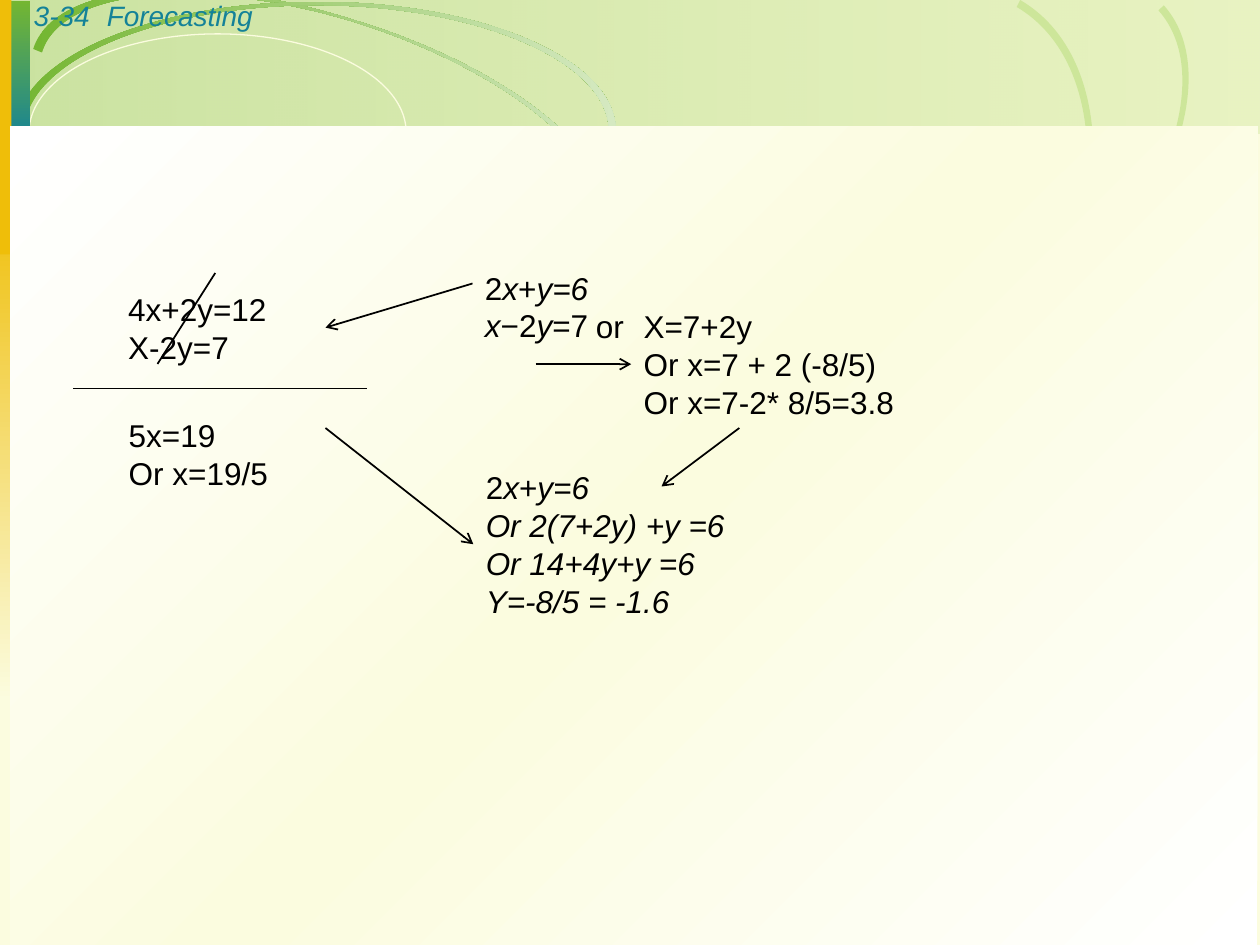
import pptx
import pptx.dml.color
import pptx.enum.shapes
import pptx.enum.text
import pptx.oxml
import pptx.oxml.ns
import pptx.util

Pt = pptx.util.Pt
RGB = pptx.dml.color.RGBColor.from_string
MSO = pptx.enum.shapes.MSO_SHAPE
qn = pptx.oxml.ns.qn
nsdecls = pptx.oxml.ns.nsdecls("a")
COLORS = {"cream": "FBFCDF", "green": "74B632", "lime": "BCDD7B", "pale": "D5E9C1",
          "leaf": "CDE69A", "teal": "148298", "gold": "EFBE09", "white": "FFFFFF",
          "black": "000000"}


def paint(sp, names, angle=0, alphas=None):
    """Fill a shape with one colour, or with evenly spaced gradient stops."""
    sp.shadow.inherit = False
    sp.line.fill.background()
    sp.fill.solid()
    sp.fill.fore_color.rgb = RGB(COLORS[names[0]])
    if len(names) == 1:
        return
    stops = ""
    for i, name in enumerate(names):
        alpha = f'<a:alpha val="{alphas[i] * 1000}"/>' if alphas else ""
        pos = 100000 * i // (len(names) - 1)
        stops += f'<a:gs pos="{pos}"><a:srgbClr val="{COLORS[name]}">{alpha}</a:srgbClr></a:gs>'
    grad = pptx.oxml.parse_xml(
        f'<a:gradFill {nsdecls} rotWithShape="1"><a:gsLst>{stops}</a:gsLst>'
        f'<a:lin ang="{angle * 60000}" scaled="0"/></a:gradFill>')
    solid = sp._element.spPr.find(qn("a:solidFill"))
    solid.getparent().replace(solid, grad)


def bend(sp):
    """Turn each run of three line segments of an arc's edges into one Bezier curve."""
    lines = list(sp._element.spPr.iter(qn("a:lnTo")))
    for start in (0, 3, 7, 10):
        first = lines[start]
        curve = pptx.oxml.parse_xml(f"<a:cubicBezTo {nsdecls}/>")
        first.addprevious(curve)
        for line in lines[start:start + 3]:
            curve.append(line[0])
            line.getparent().remove(line)


prs = pptx.Presentation()
prs.slide_width, prs.slide_height = Pt(720), Pt(540)
s = prs.slides.add_slide(prs.slide_layouts[6])
s.background.fill.solid()
s.background.fill.fore_color.rgb = RGB(COLORS["cream"])

# Header band with its swooshes
band = s.shapes.add_shape(MSO.RECTANGLE, Pt(0.7), 0, Pt(720), Pt(76.3))
paint(band, ["green", "lime"], alphas=[36, 29])

swooshes = [
    (["green", "pale"],
     [(23.8, 29.5), (35.3, -7.2), (115.9, -14.4), (204.5, 13),
      (292.3, 41), (354.2, 92.9), (342.7, 129.6)],
     [(347, 131), (359.3, 93.6), (295.2, 39.6), (204.5, 11.5),
      (114.5, -17.3), (31, -10.1), (19.4, 28.1)]),
    (["leaf"],
     [(412.6, 229), (445.7, 266.4), (528.5, 246.2), (597.6, 185),
      (666, 123.8), (694.8, 43.2), (661.7, 5.8)],
     [(665.3, 2.9), (699.1, 41), (669.6, 123.8), (599, 187.2),
      (528.5, 249.8), (443.5, 270), (409, 231.8)]),
    (["leaf"],
     [(410.4, 290.9), (461.5, 321.1), (540.7, 281.5), (588.2, 202.3),
      (635, 123.1), (632.2, 33.8), (581, 3.6)],
     [(583.2, 0), (635.8, 31), (638.6, 122.4), (590.4, 203.8),
      (542.2, 285.1), (460.1, 326.2), (408.2, 295.2)]),
    (["green", "pale"],
     [(13.7, 74.9), (13.7, 35.3), (88.6, 2.9), (180.7, 2.9),
      (272.9, 2.9), (347.8, 35.3), (347.8, 74.9)],
     [(352.1, 74.9), (352.1, 33.8), (275.8, 0.7), (180.7, 0.7),
      (85.7, 0.7), (8.6, 33.8), (8.6, 74.9)]),
]
for names, inner, outer in swooshes:
    builder = s.shapes.build_freeform(*inner[0], scale=Pt(1))
    builder.add_line_segments(inner[1:] + outer, close=True)
    sp = builder.convert_to_shape()
    bend(sp)
    paint(sp, names)

ring = s.shapes.add_shape(MSO.OVAL, Pt(16.6), Pt(19.4), Pt(215.5), Pt(112.3))
ring.shadow.inherit = False
ring.fill.background()
ring.line.color.rgb = RGB(COLORS["cream"])
ring.line.width = Pt(0.75)

# Side strips and content panel
for x, y, w, h, names, angle in [
    (0, 111.6, 15.8, 288.7, ["gold", "cream"], 90),
    (0.7, 0.7, 16.6, 82.1, ["green", "teal"], 90),
    (0, 0, 6.5, 145.4, ["gold"], 0),
    (5.8, 72.2, 712.8, 467.8, ["white", "cream", "white"], 45),
]:
    sp = s.shapes.add_shape(MSO.RECTANGLE, Pt(x), Pt(y), Pt(w), Pt(h))
    paint(sp, names, angle)

# Texts: parts between underscores are italic
texts = [
    ("page", 12.2, -4.3, 66.2, 26.6, 16, "teal", ["_3-34_"]),
    ("title", 54, -4.3, 624.2, 46.1, 16, "teal", ["_Forecasting_"]),
    ("system", 270, 150, 90, 50.4, 18, "black", ["2_x_+_y=6_", "_x_−2_y_=7"]),
    ("solve x", 360.7, 172.1, 160, 72, 18, "black",
     ["X=7+2y", "Or x=7 + 2 (-8/5)", "Or x=7-2* 8/5=3.8"]),
    ("or", 333.4, 172.1, 32, 28.8, 18, "black", ["or"]),
    ("solve y", 270.5, 264.2, 154, 93.6, 18, "black",
     ["2_x_+_y=6_", "_Or 2(7+2y) +y =6_", "_Or 14+4y+y =6_", "_Y=-8/5 = -1.6_"]),
    ("elimination", 66.2, 162.2, 113.8, 50.4, 18, "black", ["4x+2y=12", "X-2y=7"]),
    ("sum", 66.5, 234.2, 97, 50.4, 18, "black", ["5x=19", "Or x=19/5"]),
]
boxes = {}
for name, x, y, w, h, size, color, lines in texts:
    sp = boxes[name] = s.shapes.add_textbox(Pt(x), Pt(y), Pt(w), Pt(h))
    tf = sp.text_frame
    tf.word_wrap = True
    tf.auto_size = pptx.enum.text.MSO_AUTO_SIZE.SHAPE_TO_FIT_TEXT
    for i, line in enumerate(lines):
        p = tf.add_paragraph() if i else tf.paragraphs[0]
        for n, part in enumerate(line.split("_")):
            if part:
                r = p.add_run()
                r.text = part
                r.font.name = "Arial"
                r.font.size = Pt(size)
                r.font.italic = n % 2 == 1
                r.font.color.rgb = RGB(COLORS[color])

# Rule, strike-through and arrows
for x1, y1, x2, y2, arrow, target in [
    (42, 222, 210, 222, False, None),
    (123, 156, 90, 208, False, None),
    (270, 162, 186, 187.2, True, None),
    (186, 244.6, 270, 311, True, "solve y"),
    (422.5, 244.6, 378, 278, True, None),
    (306, 208.1, 360, 208.1, True, "solve x"),
]:
    c = s.shapes.add_connector(pptx.enum.shapes.MSO_CONNECTOR.STRAIGHT,
                               Pt(x1), Pt(y1), Pt(x2), Pt(y2))
    c.line.color.rgb = RGB(COLORS["black"])
    c.line.width = Pt(1)
    if target:
        c.end_connect(boxes[target], 1)
    if arrow:
        c.line._get_or_add_ln().append(pptx.oxml.parse_xml(
            f'<a:tailEnd {nsdecls} type="arrow"/>'))
    c._element.spPr.append(pptx.oxml.parse_xml(f"<a:effectLst {nsdecls}/>"))

prs.save("out.pptx")
